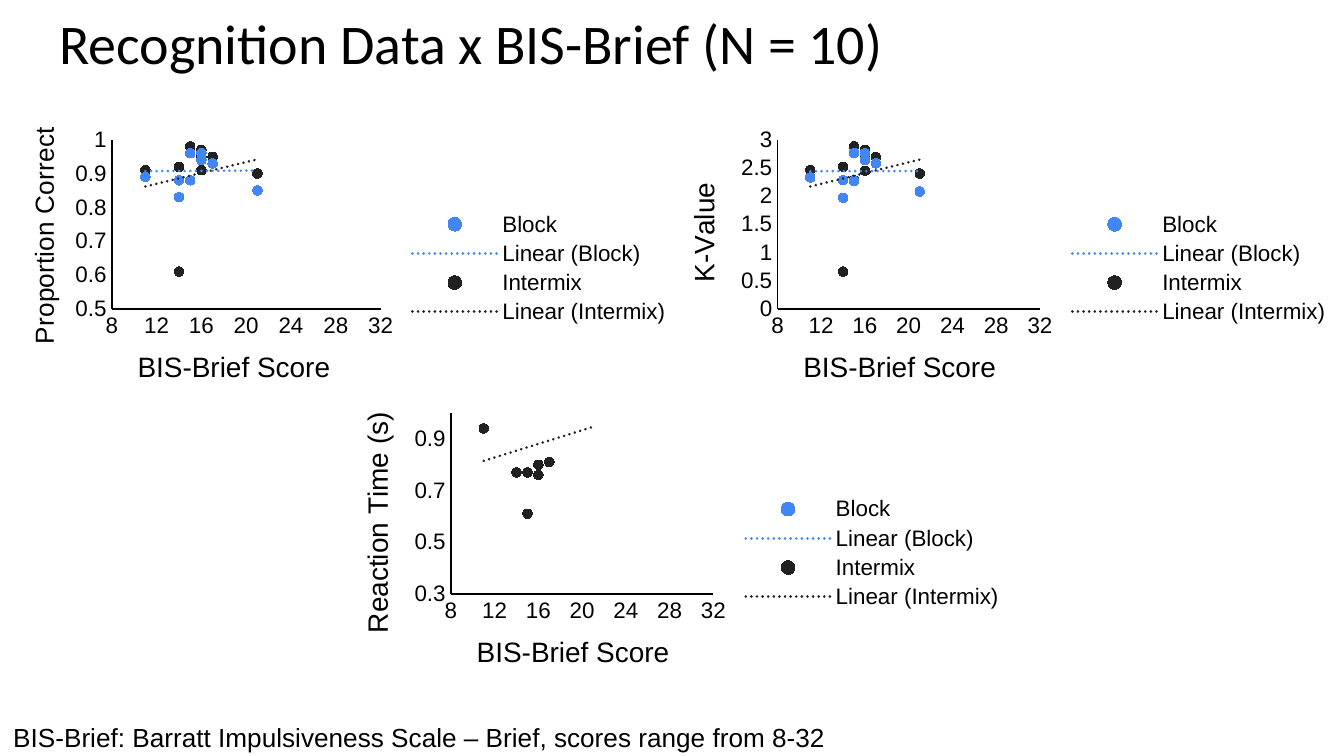
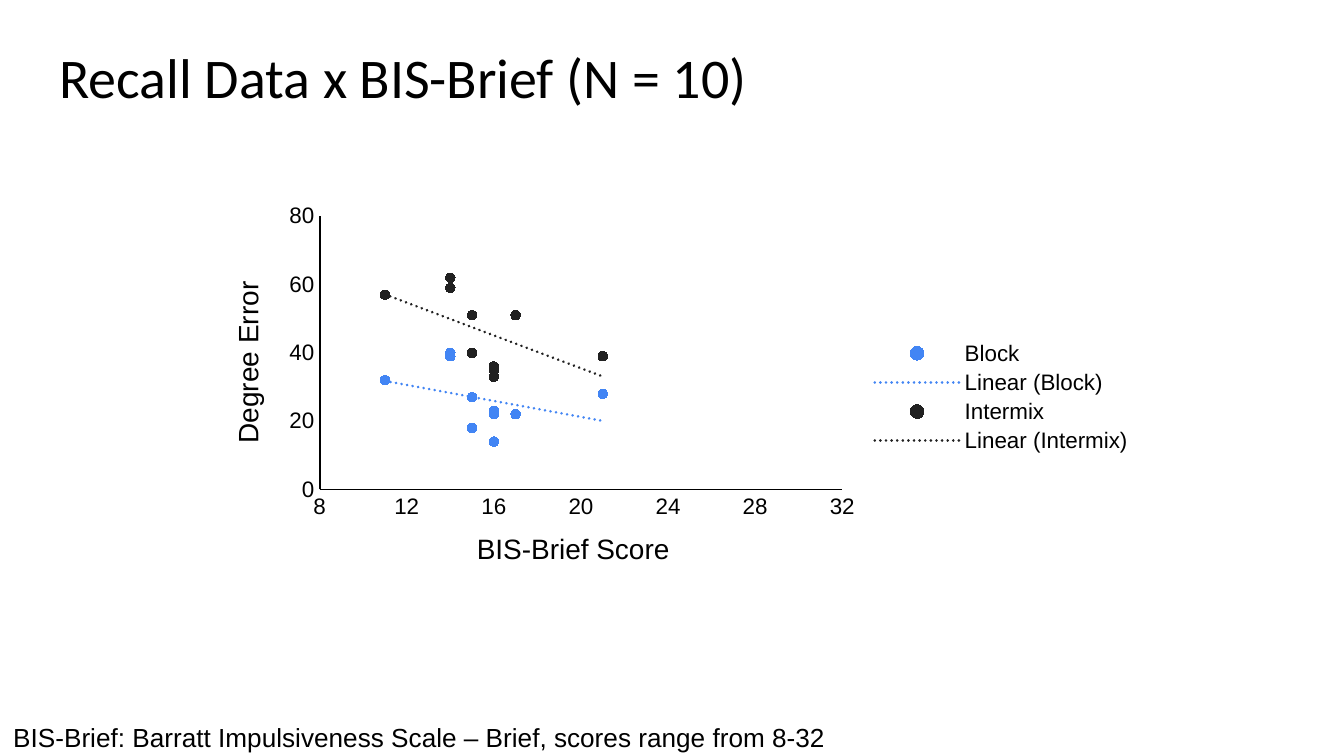
from lxml.etree import SubElement
from pptx import Presentation
from pptx.chart.data import XyChartData
from pptx.dml.color import RGBColor
from pptx.enum.chart import (XL_CHART_TYPE, XL_LEGEND_POSITION,
                             XL_MARKER_STYLE, XL_TICK_MARK)
from pptx.enum.text import MSO_ANCHOR, MSO_AUTO_SIZE, PP_ALIGN
from pptx.oxml import parse_xml
from pptx.oxml.ns import nsdecls, qn
from pptx.util import Inches, Pt

WIDE = 10
HIGH = WIDE * 9 / 16
INK = {"text": "000000", "Block": "4285F4", "Intermix": "212121"}
NOTE = "BIS-Brief: Barratt Impulsiveness Scale – Brief, scores range from 8-32"
SCORES = [14, 14, 16, 15, 16, 15, 21, 17, 11, 16]

# box: left, top, width, height; plot: the same, as shares of the box;
# scale: minimum, maximum, step; rise: top of the value title, as a share
SLIDES = [
    {"title": "Recognition Data x BIS-Brief (N = 10)", "top": -0.04, "charts": [
        {"label": "Proportion Correct", "size": 14, "rise": 0,
         "box": (-0.04, 0.91, 5.13, 2.17), "plot": (0.17, 0.06, 0.39, 0.58),
         "scale": (0.5, 1, 0.1),
         "Block": [0.88, 0.83, 0.96, 0.96, 0.94, 0.88, 0.85, 0.93, 0.89, 0.96],
         "Intermix": [0.92, 0.61, 0.91, 0.98, 0.97, 0.88, 0.9, 0.95, 0.91, 0.95]},
        {"label": "K-Value", "size": 15, "rise": 0.19,
         "box": (4.86, 0.91, 5.14, 2.17), "plot": (0.18, 0.06, 0.38, 0.58),
         "scale": (0, 3, 0.5),
         "Block": [2.28, 1.97, 2.76, 2.76, 2.64, 2.27, 2.08, 2.58, 2.33, 2.76],
         "Intermix": [2.52, 0.66, 2.45, 2.88, 2.82, 2.28, 2.4, 2.69, 2.46, 2.69]},
        {"label": "Reaction Time (s)", "size": 15, "rise": 0,
         "box": (2.43, 3.03, 5.14, 2.17), "plot": (0.18, 0.02, 0.38, 0.62),
         "scale": (0.3, 1, 0.2),
         "Block": [0.62, 1.24, 0.67, 0.76, 0.61, 0.73, 0.86, 0.71, 0.93],
         "Intermix": [0.77, 1.12, 0.76, 0.77, 0.8, 0.61, 1.09, 0.81, 0.94, 1.07]},
    ]},
    {"title": "Recall Data x BIS-Brief (N = 10)", "top": 0.22, "charts": [
        {"label": "Degree Error", "size": 15, "rise": 0.2,
         "box": (1.46, 1.46, 7.07, 2.99), "plot": (0.13, 0.05, 0.55, 0.68),
         "scale": (0, 80, 20),
         "Block": [39, 40, 23, 18, 14, 27, 28, 22, 32, 22],
         "Intermix": [59, 62, 36, 40, 33, 51, 39, 51, 57, 35]},
    ]},
]


def paint(name):
    return RGBColor.from_string(INK[name])


def style(font, size, face="Arial"):
    font.size, font.name, font.bold = Pt(size), face, False
    font.color.rgb = paint("text")


def layout(x, y, w=None, h=None):
    """Manual chart layout; with a width and height it fixes the inner plot."""
    node = parse_xml(f"<c:layout {nsdecls('c')}><c:manualLayout/></c:layout>")
    parts = {"xMode": "edge", "yMode": "edge", "x": x, "y": y}
    if w:
        parts = {"layoutTarget": "inner", **parts, "w": w, "h": h}
    for tag, val in parts.items():
        SubElement(node[0], qn("c:" + tag)).set("val", str(val))
    return node


def set_axis(axis, text, size, scale, spot):
    axis.minimum_scale, axis.maximum_scale, axis.major_unit = scale
    axis.has_major_gridlines = False
    axis.major_tick_mark = axis.minor_tick_mark = XL_TICK_MARK.NONE
    axis.format.line.color.rgb = paint("text")
    axis.format.line.width = Pt(1)
    style(axis.tick_labels.font, 12)
    title = axis.axis_title
    title.text_frame.text = text
    style(title.text_frame.paragraphs[0].runs[0].font, size)
    node = title._element
    for old in node.findall(qn("c:layout")):
        node.remove(old)
    node.find(qn("c:tx")).addnext(layout(*spot))


def add_trend(series):
    trend = parse_xml(
        f"<c:trendline {nsdecls('c', 'a')}><c:spPr><a:ln w='{Pt(1.5)}' cap='rnd'>"
        f"<a:solidFill><a:srgbClr val='{INK[series.name]}'/></a:solidFill>"
        "<a:prstDash val='sysDot'/></a:ln></c:spPr><c:trendlineType val='linear'/>"
        "<c:dispRSqr val='0'/><c:dispEq val='0'/></c:trendline>")
    series._element.find(qn("c:xVal")).addprevious(trend)


def add_scatter(slide, spec):
    data = XyChartData()
    for name in ("Block", "Intermix"):
        group = data.add_series(name)
        for x, y in zip(SCORES, spec[name]):
            group.add_data_point(x, y)
    chart = slide.shapes.add_chart(
        XL_CHART_TYPE.XY_SCATTER, *map(Inches, spec["box"]), data).chart
    chart.has_title = False
    style(chart.font, 10)
    chart.plots[0].vary_by_categories = False
    for series in chart.plots[0].series:
        series.smooth = False
        series.format.line.fill.background()
        dot = series.marker
        dot.style, dot.size = XL_MARKER_STYLE.CIRCLE, 5
        dot.format.fill.solid()
        dot.format.fill.fore_color.rgb = paint(series.name)
        dot.format.line.color.rgb = paint(series.name)
        add_trend(series)

    chart.has_legend = True
    legend = chart.legend
    legend.position = XL_LEGEND_POSITION.RIGHT
    legend.include_in_layout = False
    style(legend.font, 12)
    for index in (3, 2):
        legend._element.find(qn("c:legendPos")).addnext(parse_xml(
            f"<c:legendEntry {nsdecls('c')}><c:idx val='{index}'/>"
            "<c:delete val='1'/></c:legendEntry>"))

    wide, high = spec["box"][2:]
    x, y, w, h = spec["plot"]
    area = chart._chartSpace.chart.plotArea
    for old in area.findall(qn("c:layout")):
        area.remove(old)
    area.insert(0, layout(x, y, w, h))
    below = (round(x + w / 2 - 0.84 / wide, 2), round(y + h + 0.26 / high, 2))
    beside = (round(0.19 / wide, 2), spec["rise"])
    set_axis(chart.category_axis, "BIS-Brief Score", 15, (8, 32, 4), below)
    set_axis(chart.value_axis, spec["label"], spec["size"], spec["scale"], beside)


def add_title(slide, text, top):
    title = slide.shapes.title
    title.left, title.top, title.width, title.height = map(
        Inches, (0.34, top, WIDE - 2 * 0.34, 0.63))
    frame = title.text_frame
    frame.text = text
    frame.auto_size = MSO_AUTO_SIZE.NONE
    frame.vertical_anchor = MSO_ANCHOR.TOP
    frame.margin_left = frame.margin_right = Inches(0.1)
    frame.margin_top = frame.margin_bottom = Inches(0.1)
    para = frame.paragraphs[0]
    para.alignment = PP_ALIGN.LEFT
    style(para.runs[0].font, 30, "Calibri")


def add_note(slide):
    frame = slide.shapes.add_textbox(
        *map(Inches, (0, 5.32, 6.31, 0.34))).text_frame
    frame.text = NOTE
    frame.word_wrap = False
    frame.auto_size = MSO_AUTO_SIZE.SHAPE_TO_FIT_TEXT
    style(frame.paragraphs[0].runs[0].font, 14)


def main():
    deck = Presentation()
    deck.slide_width, deck.slide_height = Inches(WIDE), Inches(HIGH)
    for page in SLIDES:
        slide = deck.slides.add_slide(deck.slide_layouts[5])
        add_title(slide, page["title"], page["top"])
        for spec in page["charts"]:
            add_scatter(slide, spec)
        add_note(slide)
    deck.save("out.pptx")


if __name__ == "__main__":
    main()
